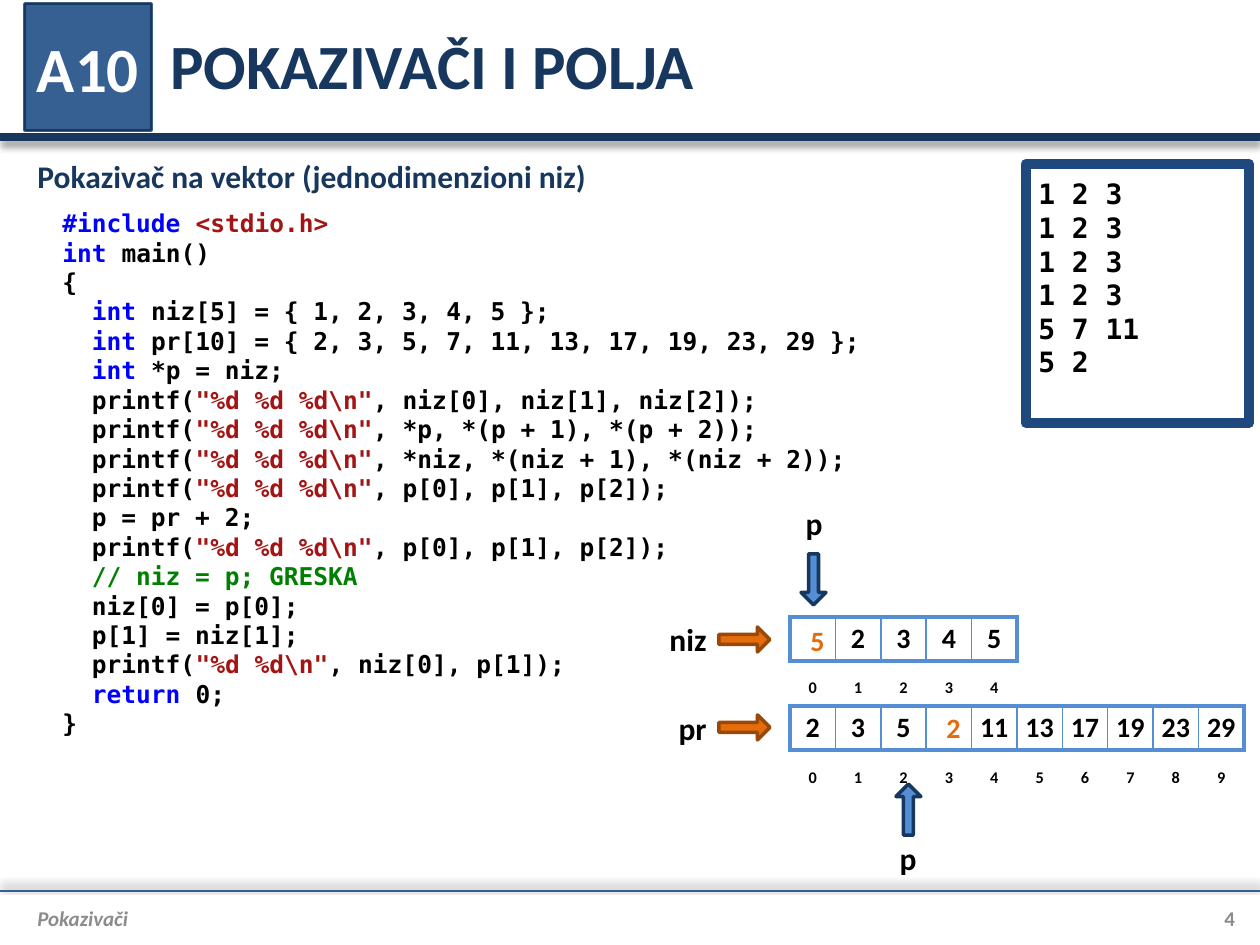
"""Build the slide about pointers and one-dimensional arrays in C."""
import pptx
import pptx.dml.color
import pptx.enum.shapes
import pptx.enum.text
import pptx.oxml
import pptx.oxml.ns
import pptx.util
from lxml import etree

SCALE = 914400 / 126
NAVY, STEEL, SKY, ORANGE = "17375E", "376092", "558ED5", "E46C0A"
BLACK, WHITE, GREY = "000000", "FFFFFF", "8C8C8C"
MONO = "DejaVu Sans Mono"
MIDDLE = pptx.enum.text.MSO_ANCHOR.MIDDLE
CENTER = pptx.enum.text.PP_ALIGN.CENTER
RIGHT = pptx.enum.text.PP_ALIGN.RIGHT
RECTANGLE = pptx.enum.shapes.MSO_SHAPE.RECTANGLE
ARROW = pptx.enum.shapes.MSO_SHAPE.RIGHT_ARROW
rgb = pptx.dml.color.RGBColor.from_string


def px(*lengths):
    return [pptx.util.Emu(round(length * SCALE)) for length in lengths]


def write(frame, text, size, color, align=None, anchor=None, font="Calibri", italic=None):
    frame.text = text
    frame.word_wrap = True
    frame.vertical_anchor = anchor
    for paragraph in frame.paragraphs:
        paragraph.alignment = align
        for run in paragraph.runs:
            run.font.size = pptx.util.Pt(size)
            run.font.name = font
            run.font.bold = True
            run.font.italic = italic
            run.font.color.rgb = rgb(color)


deck = pptx.Presentation()
deck.slide_width, deck.slide_height = px(1260, 945)
slide = deck.slides.add_slide(deck.slide_layouts[6])
shapes = slide.shapes

for y, color, width, direction in [(137, NAVY, 4.5, 90), (891, STEEL, 1.5, 270)]:
    rule = shapes.add_connector(pptx.enum.shapes.MSO_CONNECTOR.STRAIGHT, *px(0, y, 1260, y))
    rule.line.color.rgb = rgb(color)
    rule.line.width = pptx.util.Pt(width)
    rule._element.spPr.append(pptx.oxml.parse_xml(
        f'<a:effectLst {pptx.oxml.ns.nsdecls("a")}>'
        f'<a:outerShdw blurRad="50800" dist="38100" dir="{direction * 60000}" rotWithShape="0">'
        '<a:srgbClr val="000000"><a:alpha val="40000"/></a:srgbClr>'
        '</a:outerShdw></a:effectLst>'))

for fill, outline, width in [("4F81BD", "3A5F8C", 2), (STEEL, NAVY, 0.75)]:
    badge = shapes.add_shape(RECTANGLE, *px(25, 4, 126, 126))
    badge.shadow.inherit = False
    badge.fill.solid()
    badge.fill.fore_color.rgb = rgb(fill)
    badge.line.color.rgb = rgb(outline)
    badge.line.width = pptx.util.Pt(width)
write(badge.text_frame, "A10", 36, WHITE, CENTER, MIDDLE)
badge.text_frame.margin_left = badge.text_frame.margin_right = 0
badge.text_frame.margin_top = badge.text_frame.margin_bottom = 0

title = shapes.add_textbox(*px(158, 1, 1077, 126))
write(title.text_frame, "POKAZIVAČI I POLJA", 36, NAVY, anchor=MIDDLE)
subtitle = shapes.add_textbox(*px(25, 151, 1210, 51))
write(subtitle.text_frame, "Pokazivač na vektor (jednodimenzioni niz)", 18, NAVY)

footer = shapes.add_textbox(*px(25, 896, 1147, 44))
write(footer.text_frame, "Pokazivači", 12, GREY, anchor=MIDDLE, italic=True)
page_number = shapes.add_textbox(*px(1172, 896, 63, 44))
write(page_number.text_frame, "4", 12, GREY, RIGHT, MIDDLE)
page_number.text_frame.margin_right = 0

three_values = '"%d %d %d\\n"'
code_lines = [
    ["#include", " ", "<stdio.h>"],
    ["int", " main()"],
    ["{"],
    ["  int", " niz[5] = { 1, 2, 3, 4, 5 };"],
    ["  int", " pr[10] = { 2, 3, 5, 7, 11, 13, 17, 19, 23, 29 };"],
    ["  int", " *p = niz;"],
    ["  printf(", three_values, ", niz[0], niz[1], niz[2]);"],
    ["  printf(", three_values, ", *p, *(p + 1), *(p + 2));"],
    ["  printf(", three_values, ", *niz, *(niz + 1), *(niz + 2));"],
    ["  printf(", three_values, ", p[0], p[1], p[2]);"],
    ["  p = pr + 2;"],
    ["  printf(", three_values, ", p[0], p[1], p[2]);"],
    ["  // niz = p; GRESKA"],
    ["  niz[0] = p[0];"],
    ["  p[1] = niz[1];"],
    ["  printf(", '"%d %d\\n"', ", niz[0], p[1]);"],
    ["  return", " 0;"],
    ["}"],
]
code = shapes.add_textbox(*px(50, 202, 828, 547)).text_frame
code.word_wrap = True
for number, tokens in enumerate(code_lines):
    code_line = code.add_paragraph() if number else code.paragraphs[0]
    code_line.line_spacing = pptx.util.Pt(16.8)
    for token in tokens:
        word = token.strip()
        if word in ("#include", "int", "return"):
            color = "0000FF"
        elif word.startswith(('"', "<")):
            color = "A31515"
        else:
            color = "008000" if word.startswith("//") else BLACK
        run = code_line.add_run()
        run.text = token
        run.font.size = pptx.util.Pt(14)
        run.font.name = MONO
        run.font.bold = True
        run.font.color.rgb = rgb(color)

output = shapes.add_shape(RECTANGLE, *px(1026, 164, 223, 259))
output.shadow.inherit = False
output.fill.solid()
output.fill.fore_color.rgb = rgb(WHITE)
output.line.color.rgb = rgb("1F497D")
output.line.width = pptx.util.Pt(6)
write(output.text_frame, "1 2 3\n1 2 3\n1 2 3\n1 2 3\n5 7 11\n5 2", 16, BLACK,
      pptx.enum.text.PP_ALIGN.LEFT, pptx.enum.text.MSO_ANCHOR.TOP, MONO)
output.text_frame.margin_top = output.text_frame.margin_bottom = px(13)[0]
for output_line in output.text_frame.paragraphs:
    output_line.line_spacing = pptx.util.Pt(19.2)

cell_width = px(454)[0] // 10
primes = [2, 3, 5, 7, 11, 13, 17, 19, 23, 29]
for y, height, values, is_index in [(706, 44, primes, False), (617, 44, range(1, 6), False),
                                    (660, 25, range(5), True), (750, 25, range(10), True)]:
    left, top, row_height = px(790, y, height)
    array = shapes.add_table(1, len(values), left, top, cell_width * len(values), row_height).table
    array.first_row = array.horz_banding = False
    for position, value in enumerate(values):
        array.columns[position].width = cell_width
        cell = array.cell(0, position)
        cell.margin_left = cell.margin_right = cell.margin_top = cell.margin_bottom = 0
        cell.vertical_anchor = MIDDLE
        write(cell.text_frame, str(value), 16, BLACK, CENTER)
        if is_index:
            cell.text_frame.paragraphs[0].runs[0]._r.get_or_add_rPr().set("baseline", "-25000")
        properties = cell._tc.get_or_add_tcPr()
        outer = {"T", "B"}
        if position == 0:
            outer.add("L")
        if position == len(values) - 1:
            outer.add("R")
        for side in "LRTB":
            border = etree.SubElement(properties, pptx.oxml.ns.qn(f"a:ln{side}"))
            border.set("w", str(pptx.util.Pt(2.25 if side in outer else 1)))
            if is_index:
                etree.SubElement(border, pptx.oxml.ns.qn("a:noFill"))
            else:
                paint = etree.SubElement(border, pptx.oxml.ns.qn("a:solidFill"))
                etree.SubElement(paint, pptx.oxml.ns.qn("a:srgbClr")).set("val", SKY)
        cell.fill.background()

for name, x, y, align, arrow_x, arrow_y, turn, fill, outline in [
        ("niz", 643, 617, RIGHT, 719, 627, 0, ORANGE, "984807"),
        ("pr", 643, 706, RIGHT, 719, 715, 0, ORANGE, "984807"),
        ("p", 776, 501, CENTER, 788, 567, 90, SKY, NAVY),
        ("p", 870, 836, CENTER, 883, 797, 270, SKY, NAVY)]:
    label = shapes.add_textbox(*px(x, y, 76, 44))
    write(label.text_frame, name, 18, BLACK, align, MIDDLE)
    pointer = shapes.add_shape(ARROW, *px(arrow_x, arrow_y, 51, 25))
    pointer.adjustments[0] = 0.4
    pointer.adjustments[1] = 0.5
    pointer.rotation = turn
    pointer.shadow.inherit = False
    pointer.fill.solid()
    pointer.fill.fore_color.rgb = rgb(fill)
    pointer.line.color.rgb = rgb(outline)
    pointer.line.width = pptx.util.Pt(2)

for value, x, y in [("5", 798, 624), ("2", 934, 711)]:
    new_value = shapes.add_shape(RECTANGLE, *px(x, y, 32, 32))
    new_value.shadow.inherit = False
    new_value.fill.solid()
    new_value.fill.fore_color.rgb = rgb(WHITE)
    new_value.line.fill.background()
    write(new_value.text_frame, value, 16, ORANGE, CENTER, MIDDLE)

deck.save("out.pptx")
